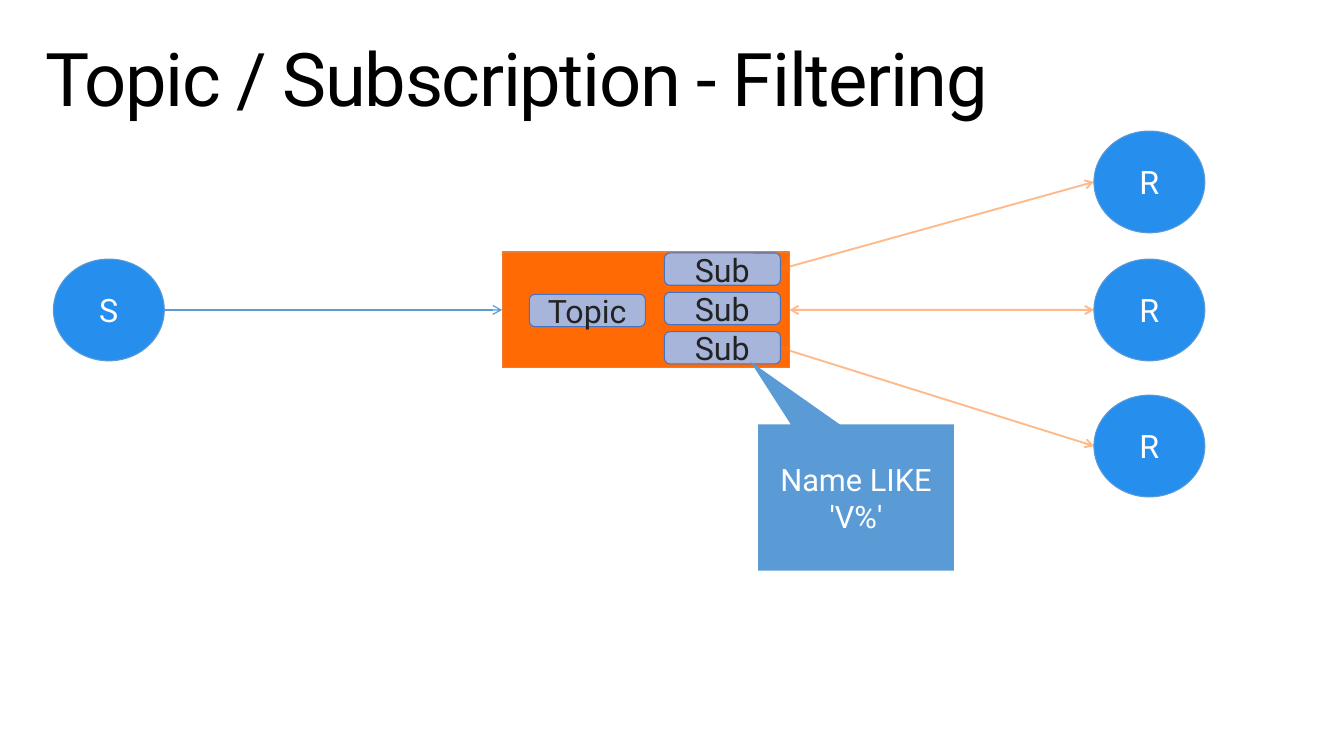
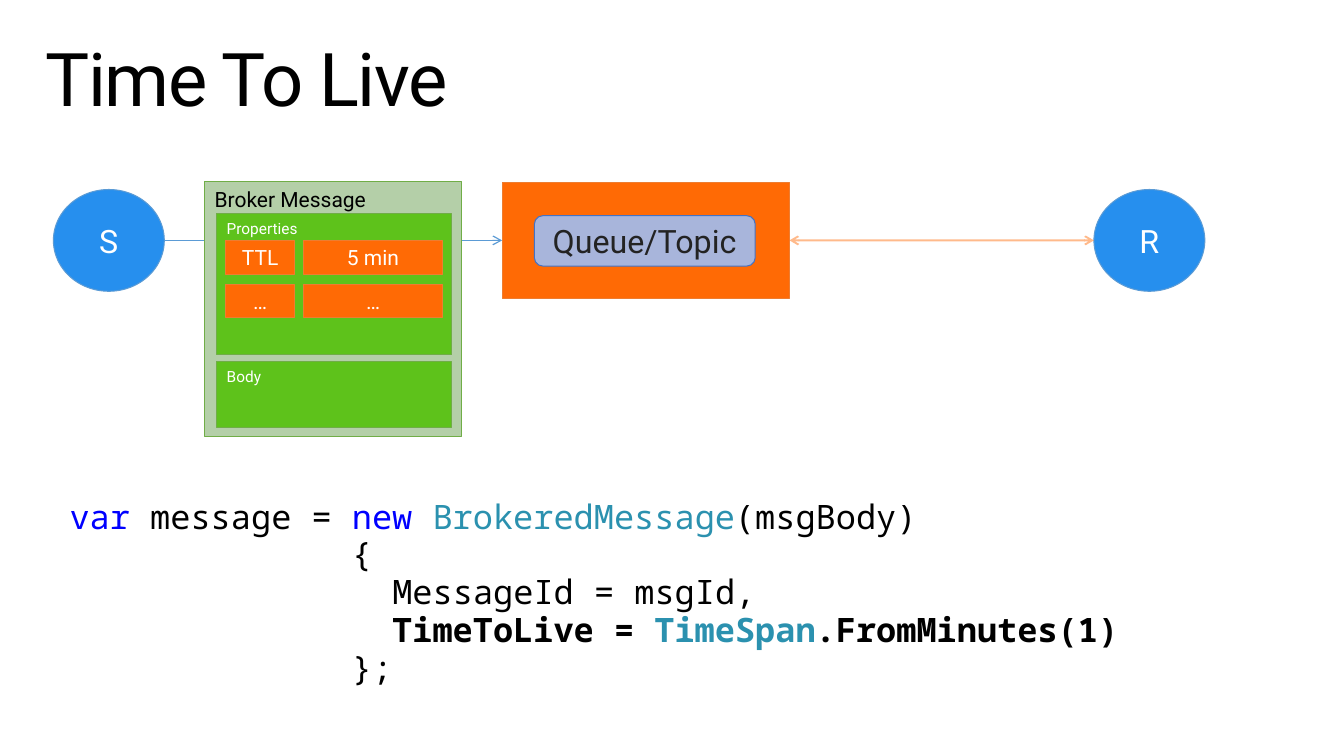
from dataclasses import dataclass

from lxml import etree
from pptx import Presentation
from pptx.dml.color import RGBColor
from pptx.enum import shapes, text
from pptx.oxml import ns
from pptx.util import Pt

PX = 9144  # EMU in one px, 100 px to the inch
KIND = shapes.MSO_SHAPE


@dataclass(frozen=True)
class Theme:
    # Fonts
    sans: str = "Roboto"
    mono: str = "Noto Sans Mono"
    # Colours
    black: str = "000000"
    white: str = "FFFFFF"
    dark: str = "232323"
    blue: str = "268FEE"
    steel: str = "5B9BD5"
    orange: str = "FF6A05"
    rust: str = "ED7D31"
    glow: str = "FF7619"
    lilac: str = "A8B5DB"
    navy: str = "4472C4"
    sage: str = "B4CFA8"
    green: str = "5EC21B"
    moss: str = "70AD47"
    key: str = "0000FF"
    type: str = "2B91AF"
    # Type sizes
    head: float = 52.9
    node: int = 23
    note: int = 22
    code: int = 24
    cell: int = 15
    small: int = 11
    # Line widths
    edge: float = 0.75
    send: float = 0.85
    pull: float = 1.35


T = Theme()


def put(item, **values):
    for name, value in values.items():
        setattr(item, name, value)


def add(parent, tag, **values):
    return etree.SubElement(parent, ns.qn(tag), values)


class Deck:
    def __init__(self):
        self.prs = Presentation()
        put(self.prs, slide_width=1333 * PX, slide_height=750 * PX)

    # Text
    def style(self, font, size, color, face=T.sans, bold=False):
        put(font, size=Pt(size), name=face, bold=bold)
        font.color.rgb = RGBColor.from_string(color)

    def frame(self, shape, side, top, anchor):
        frame = shape.text_frame
        put(frame, word_wrap=True, auto_size=text.MSO_AUTO_SIZE.NONE,
            vertical_anchor=anchor, margin_left=side * PX,
            margin_right=side * PX, margin_top=top * PX,
            margin_bottom=top * PX)
        return frame

    def place(self, shape, x, y, w, h):
        put(shape, left=x * PX, top=y * PX, width=w * PX, height=h * PX)

    def page(self, title):
        self.slide = self.prs.slides.add_slide(self.prs.slide_layouts[5])
        self.home = self.slide.shapes
        head = self.home.title
        self.place(head, 29, 32, 1275, 98)
        para = self.frame(head, 16, 10, text.MSO_ANCHOR.TOP).paragraphs[0]
        put(para, alignment=text.PP_ALIGN.LEFT, line_spacing=0.9)
        run = para.add_run()
        run.text = title
        self.style(run.font, T.head, T.black)
        run.font._element.set("spc", "-100")

    def code(self, x, y, w, h, lines):
        box = self.home.add_textbox(x * PX, y * PX, w * PX, h * PX)
        frame = self.frame(box, 16, 10, text.MSO_ANCHOR.TOP)
        for i, line in enumerate(lines):
            para = frame.add_paragraph() if i else frame.paragraphs[0]
            put(para, line_spacing=0.9, space_before=Pt(1.1 if i else 0))
            for words, color, bold in line:
                run = para.add_run()
                run.text = words
                self.style(run.font, T.code, color, T.mono, bold)

    # Shapes
    def shape(self, kind, x, y, w, h, fill, line=None, words="",
              size=T.node, color=T.white, top=False):
        item = self.home.add_shape(kind, x * PX, y * PX, w * PX, h * PX)
        item.shadow.inherit = False
        item.fill.solid()
        item.fill.fore_color.rgb = RGBColor.from_string(fill)
        if line:
            item.line.width = Pt(T.edge)
            item.line.color.rgb = RGBColor.from_string(line)
        else:
            item.line.fill.background()
        if words:
            anchor = text.MSO_ANCHOR.TOP if top else text.MSO_ANCHOR.MIDDLE
            para = self.frame(item, 10, 5, anchor).paragraphs[0]
            para.alignment = (text.PP_ALIGN.LEFT if top
                              else text.PP_ALIGN.CENTER)
            run = para.add_run()
            run.text = words
            self.style(run.font, size, color)
        return item

    def node(self, x, y, name):
        return self.shape(KIND.OVAL, x, y, 110, 101, T.blue, T.steel, name)

    def pill(self, x, y, w, h, name):
        return self.shape(KIND.ROUNDED_RECTANGLE, x, y, w, h, T.lilac,
                          T.navy, name, color=T.dark)

    def panel(self, x, y, w, h, fill, name, size, color=T.white):
        self.shape(KIND.RECTANGLE, x, y, w, h, fill, T.moss, name, size,
                   color, top=True)

    # Arrows, from the right side of one shape to the left side of the next
    def link(self, start, end, color, width, both=False):
        wire = self.home.add_connector(
            shapes.MSO_CONNECTOR.STRAIGHT,
            start.left + start.width, start.top + start.height // 2,
            end.left, end.top + end.height // 2)
        if start.auto_shape_type != KIND.OVAL:
            wire.begin_connect(start, 3)
        if end.auto_shape_type != KIND.OVAL:
            wire.end_connect(end, 1)
        wire.line.width = Pt(width)
        wire.line.color.rgb = RGBColor.from_string(color)
        line = wire.line._ln
        if both:
            add(line.find(".//" + ns.qn("a:srgbClr")), "a:alpha", val="50000")
            add(line, "a:headEnd", type="arrow")
        add(line, "a:tailEnd", type="arrow")
        add(wire._element.spPr, "a:effectLst")

    def pull(self, start, end):
        self.link(start, end, T.glow, T.pull, both=True)

    # Sender, broker box and receiver in one row
    def row(self, y):
        box = self.shape(KIND.RECTANGLE, 498, y, 285, 115, T.orange, T.rust)
        send = self.node(53, y + 7, "S")
        get = self.node(1085, y + 7, "R")
        self.link(send, box, T.steel, T.send)
        self.pull(box, get)


def filters(deck):
    deck.page("Topic / Subscription - Filtering")
    deck.row(250)
    deck.pill(525, 292, 115, 32, "Topic")
    subs = [deck.pill(659, 251 + 39 * i, 115, 32, "Sub") for i in range(3)]
    for sub, y in ((subs[0], 130), (subs[2], 392)):
        deck.pull(sub, deck.node(1085, y, "R"))
    note = deck.shape(KIND.RECTANGULAR_CALLOUT, 752, 421, 194, 145, T.steel,
                      words="Name LIKE 'V%'", size=T.note)
    note.adjustments[0], note.adjustments[1] = -0.54, -0.93


def expiry(deck):
    deck.page("Time To Live")
    deck.row(181)

    # Message with its parts, as one group
    deck.home = deck.slide.shapes.add_group_shape().shapes
    deck.panel(203, 180, 255, 253, T.sage, "Broker Message", T.cell, T.black)
    deck.panel(215, 359, 233, 65, T.green, "Body", T.small)
    deck.panel(215, 212, 233, 140, T.green, "Properties", T.small)
    for i, pair in enumerate((("TTL", "5 min"), ("…", "…"))):
        for (x, w), words in zip(((224, 68), (301, 138)), pair):
            deck.shape(KIND.RECTANGLE, x, 239 + 43 * i, w, 33, T.orange,
                       T.rust, words, T.cell)
    deck.home = deck.slide.shapes

    # Code
    deck.code(53, 486, 1219, 271, (
        (("var", T.key, False), (" message = ", T.black, False),
         ("new ", T.key, False), ("BrokeredMessage", T.type, False),
         ("(msgBody)", T.black, False)),
        (("              {", T.black, False),),
        (("                MessageId = msgId,", T.black, False),),
        (("                ", T.black, False),
         ("TimeToLive = ", T.black, True), ("TimeSpan", T.type, True),
         (".FromMinutes(1)", T.black, True)),
        (("              };", T.black, False),),
    ))
    deck.pill(530, 214, 219, 50, "Queue/Topic")


def main():
    deck = Deck()
    filters(deck)
    expiry(deck)
    deck.prs.save("out.pptx")


if __name__ == "__main__":
    main()
